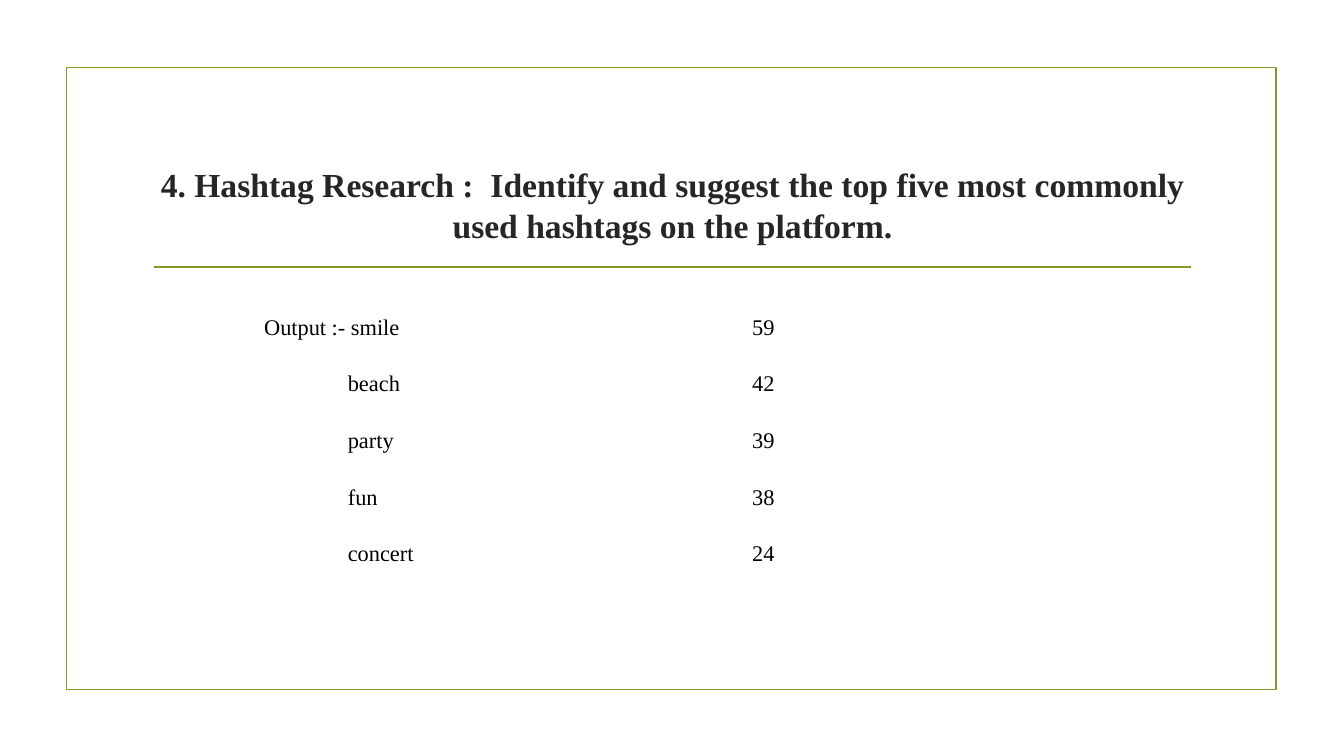
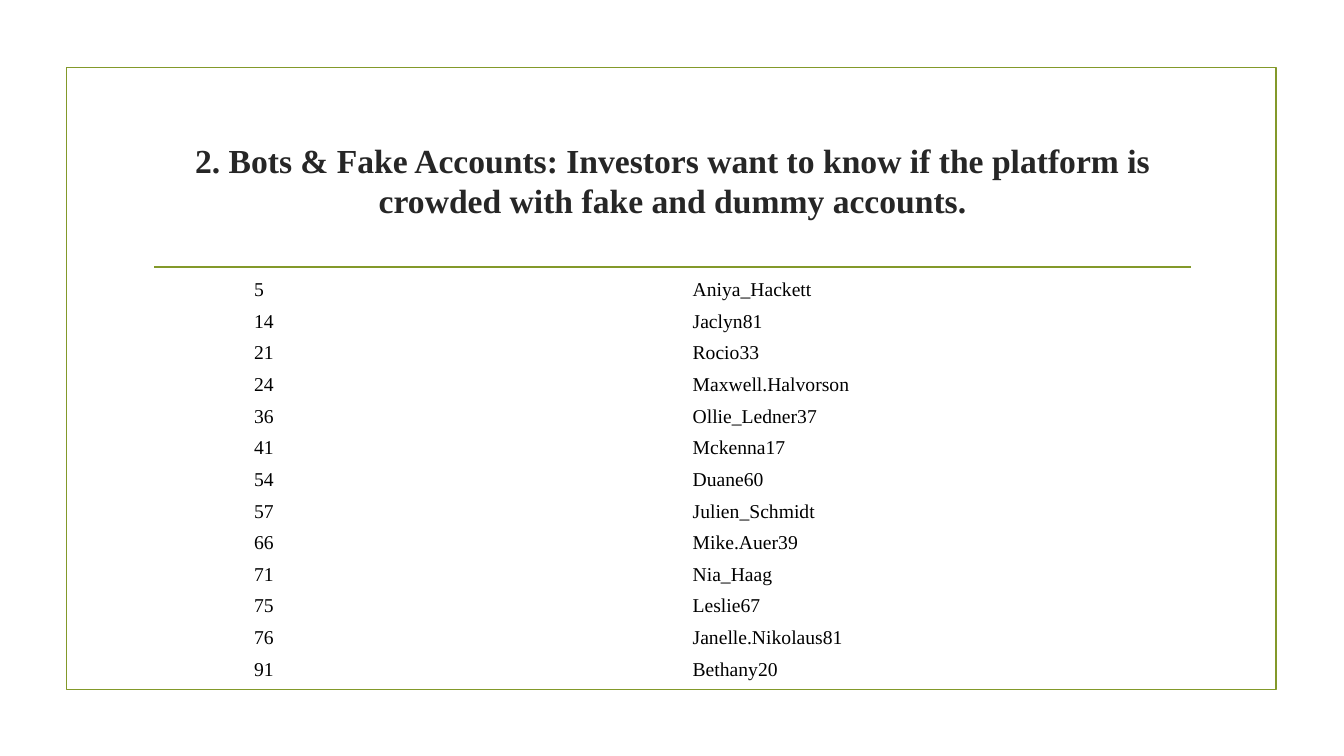
from pptx import Presentation
from pptx.dml.color import RGBColor
from pptx.enum.shapes import MSO_CONNECTOR, MSO_SHAPE
from pptx.enum.text import MSO_ANCHOR, MSO_AUTO_SIZE, PP_ALIGN
from pptx.oxml.ns import qn
from pptx.util import Inches, Pt
from lxml import etree

OLIVE = RGBColor(0x83, 0x99, 0x2A)
CHARCOAL = RGBColor(0x26, 0x26, 0x26)
BLACK = RGBColor(0x00, 0x00, 0x00)
FONT = "Times New Roman"
RECTANGLE = MSO_SHAPE.RECTANGLE
STRAIGHT = MSO_CONNECTOR.STRAIGHT
MIDDLE = MSO_ANCHOR.MIDDLE
CENTER = PP_ALIGN.CENTER
NO_AUTOFIT = MSO_AUTO_SIZE.NONE
TITLE_ONLY = 5

HASHTAGS = [
    ("Output :- smile", "59"),
    ("beach", "42"),
    ("party", "39"),
    ("fun", "38"),
    ("concert", "24"),
]
ACCOUNTS = [
    ("5", "Aniya_Hackett"),
    ("14", "Jaclyn81"),
    ("21", "Rocio33"),
    ("24", "Maxwell.Halvorson"),
    ("36", "Ollie_Ledner37"),
    ("41", "Mckenna17"),
    ("54", "Duane60"),
    ("57", "Julien_Schmidt"),
    ("66", "Mike.Auer39"),
    ("71", "Nia_Haag"),
    ("75", "Leslie67"),
    ("76", "Janelle.Nikolaus81"),
    ("91", "Bethany20"),
]


class FramedDeck:
    """Deck of framed slides with a ruled title and plain tables."""

    def __init__(self):
        self.deck = Presentation()
        self.deck.slide_width = Inches(13.33)
        self.deck.slide_height = Inches(7.5)
        self.page = None

    def add_page(self, title, top, height):
        self.page = self.deck.slides.add_slide(self.deck.slide_layouts[TITLE_ONLY])
        self.add_frame()
        self.add_rule()
        self.set_title(title, top, height)

    def add_frame(self):
        frame = self.page.shapes.add_shape(
            RECTANGLE, Inches(0.66), Inches(0.67), Inches(12), Inches(6.17))
        frame.shadow.inherit = False
        frame.fill.background()
        self.style_line(frame.line)

    def add_rule(self):
        rule = self.page.shapes.add_connector(
            STRAIGHT, Inches(1.53), Inches(2.65), Inches(11.81), Inches(2.65))
        self.style_line(rule.line)
        etree.SubElement(rule._element.spPr, qn("a:effectLst"))

    def style_line(self, line):
        line.color.rgb = OLIVE
        line.width = Pt(1.25)

    def set_title(self, text, top, height):
        title = self.page.shapes.title
        title.left, title.top = Inches(1.42), Inches(top)
        title.width, title.height = Inches(10.5), Inches(height)
        frame = title.text_frame
        frame.text = text
        frame.word_wrap = True
        frame.auto_size = NO_AUTOFIT
        frame.vertical_anchor = MIDDLE
        para = frame.paragraphs[0]
        para.alignment = CENTER
        self.style_text(para, 24, CHARCOAL, True)

    def style_text(self, para, size, color, bold=False):
        for span in para.runs:
            span.font.name = FONT
            span.font.size = Pt(size)
            span.font.bold = bold
            span.font.color.rgb = color

    def add_table(self, rows, left, top, width, height, size, side, edge):
        table = self.page.shapes.add_table(
            len(rows), len(rows[0]), Inches(left), Inches(top),
            Inches(width), Inches(height)).table
        table.first_row = False
        table.horz_banding = False
        for row_index, row in enumerate(rows):
            for column_index, text in enumerate(row):
                cell = table.cell(row_index, column_index)
                cell.fill.background()
                cell.vertical_anchor = MIDDLE
                cell.margin_left = cell.margin_right = Inches(side)
                cell.margin_top = cell.margin_bottom = Inches(edge)
                cell.text = text
                self.style_text(cell.text_frame.paragraphs[0], size, BLACK)
        return table


def main():
    framed = FramedDeck()

    framed.add_page("4. Hashtag Research :  Identify and suggest the top five "
                    "most commonly used hashtags on the platform.", 1.64, 0.78)
    hashtags = framed.add_table(HASHTAGS, 2.52, 2.97, 9.68, 2.81, 16, 0.1, 0.05)
    for row_index in range(1, len(HASHTAGS)):
        hashtags.cell(row_index, 0).margin_left = Inches(0.93)

    framed.add_page("2. Bots & Fake Accounts: Investors want to know if the "
                    "platform is crowded with fake and dummy accounts.", 1.07, 1.43)
    framed.add_table(ACCOUNTS, 2.44, 2.72, 8.7, 4.08, 14, 0.08, 0.04)

    framed.deck.save("out.pptx")


if __name__ == "__main__":
    main()
